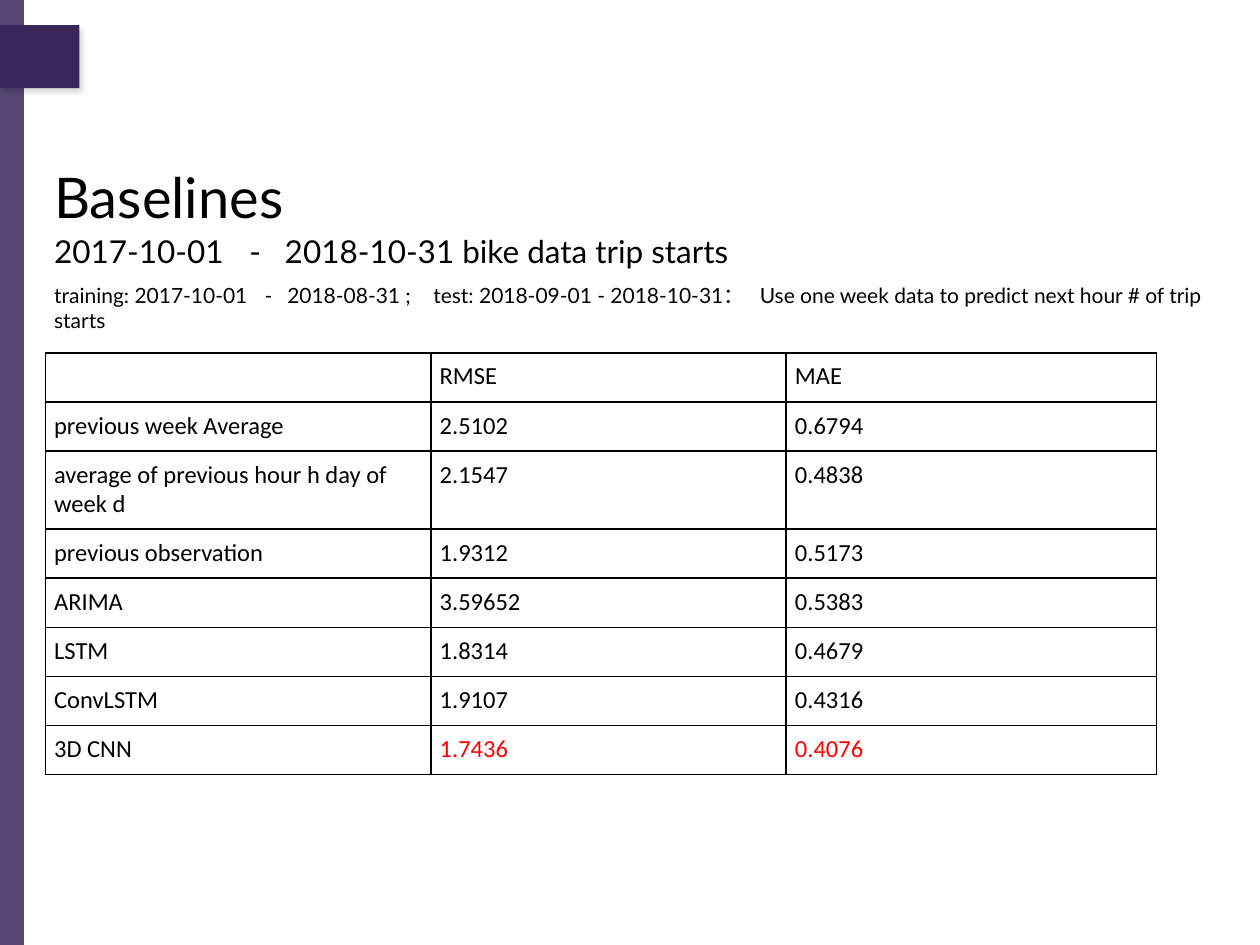
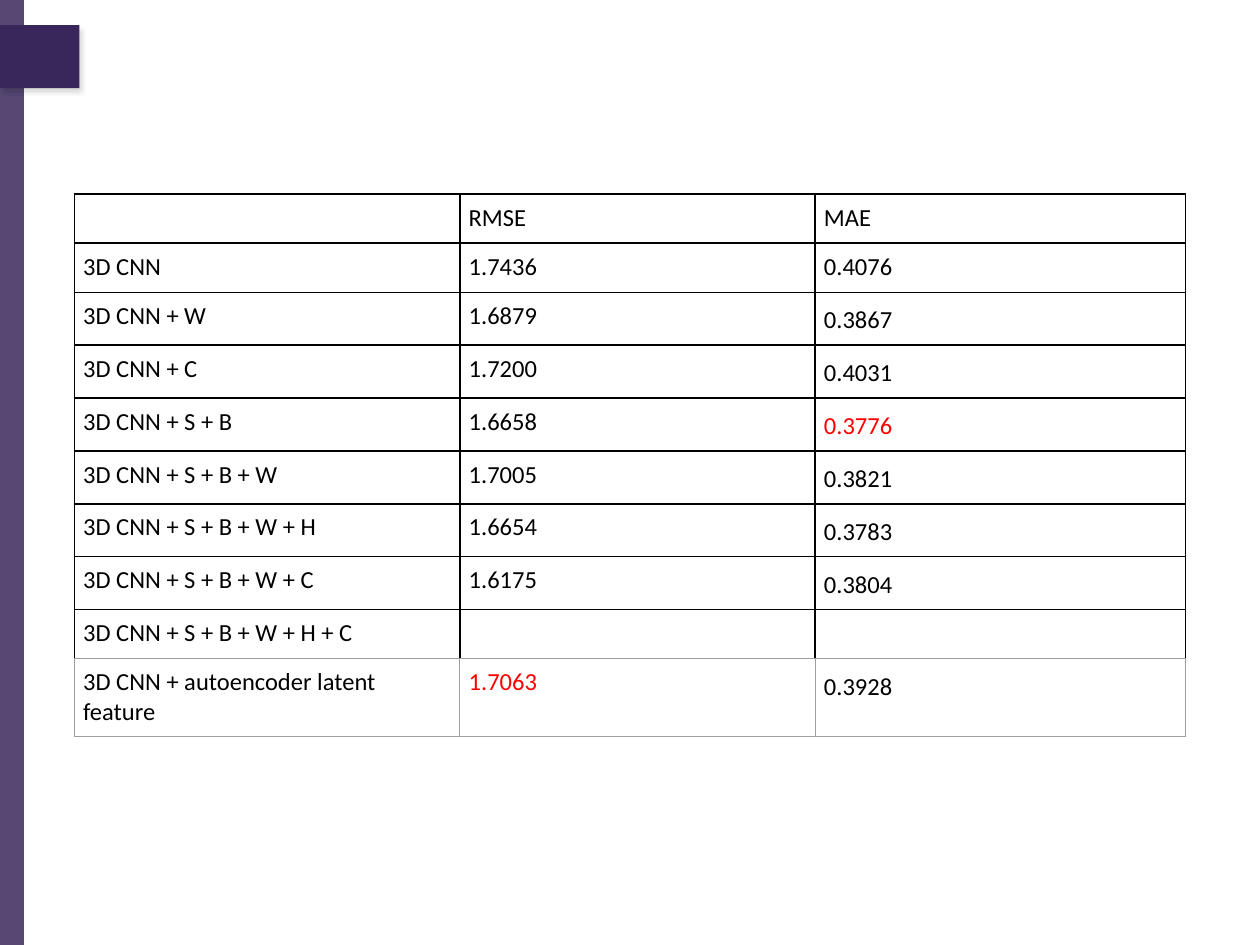
from dataclasses import dataclass

from lxml.etree import SubElement
from pptx import Presentation
from pptx.dml.color import RGBColor
from pptx.enum.shapes import MSO_SHAPE
from pptx.enum.text import MSO_ANCHOR
from pptx.oxml.ns import qn
from pptx.slide import Slide
from pptx.util import Inches, Pt

PURPLE = RGBColor(0x39, 0x27, 0x5B)
BLACK = RGBColor(0, 0, 0)
RED = RGBColor(0xFF, 0, 0)
GREY = RGBColor(0x9E, 0x9E, 0x9E)
HEADING_FONT = "Lato"
TABLE_FONT = "Calibri"
COLUMN_WIDTHS = (3.06, 2.82, 2.94)
CELL_MARGIN = Inches(0.07)
SINGLE, SPACED, DOUBLE = 0.39, 0.42, 0.62


@dataclass(frozen=True)
class Band:
    top: float
    width: float
    height: float
    opacity: int = 100
    shadowed: bool = False


@dataclass(frozen=True)
class Line:
    text: str
    size: int
    tabs: tuple[float, ...] = ()
    space_before: float = 0


@dataclass(frozen=True)
class Result:
    model: str
    rmse: str
    mae: str
    height: float = SINGLE
    best: tuple[str, ...] = ()
    mae_spacing: float = 1.0
    grey: bool = False


BANDS = (
    Band(0, 0.19, 7.5, opacity=85),
    Band(0.2, 0.63, 0.5, shadowed=True),
)

HEADER = Result("", "RMSE", "MAE")

BASELINES = (
    HEADER,
    Result("previous week Average", "2.5102", "0.6794"),
    Result("average of previous hour h day of week d", "2.1547", "0.4838", DOUBLE),
    Result("previous observation", "1.9312", "0.5173"),
    Result("ARIMA", "3.59652", "0.5383"),
    Result("LSTM", "1.8314", "0.4679"),
    Result("ConvLSTM", "1.9107", "0.4316"),
    Result("3D CNN", "1.7436", "0.4076", best=("1.7436", "0.4076")),
)

FEATURE_VARIANTS = (
    HEADER,
    Result("3D CNN", "1.7436", "0.4076"),
    Result("3D CNN + W", "1.6879", "0.3867", SPACED, mae_spacing=1.15),
    Result("3D CNN + C", "1.7200", "0.4031", SPACED, mae_spacing=1.15),
    Result("3D CNN + S + B", "1.6658", "0.3776", SPACED, ("0.3776",), 1.15),
    Result("3D CNN + S + B + W", "1.7005", "0.3821", SPACED, mae_spacing=1.15),
    Result("3D CNN + S + B + W + H", "1.6654", "0.3783", SPACED, mae_spacing=1.15),
    Result("3D CNN + S + B + W + C", "1.6175", "0.3804", SPACED, mae_spacing=1.15),
    Result("3D CNN + S + B + W + H + C", "", ""),
    Result("3D CNN + autoencoder latent feature", "1.7063", "0.3928",
           DOUBLE, ("1.7063",), 1.15, grey=True),
)

TITLE = (Line("Baselines", 32),)
PERIODS = (
    Line("2017-10-01\t-\t2018-10-31 bike data trip starts", 18, (1.55, 1.83)),
    Line("training: 2017-10-01\t-\t2018-08-31 ;\ttest: 2018-09-01 - 2018-10-31：\t"
         "Use one week data to predict next hour # of trip starts",
         12, (1.67, 1.85, 3.01, 5.6), 7.5),
)


def add_band(slide: Slide, band: Band) -> None:
    bar = slide.shapes.add_shape(MSO_SHAPE.RECTANGLE, 0, Inches(band.top),
                                 Inches(band.width), Inches(band.height))
    bar.shadow.inherit = False
    bar.fill.solid()
    bar.fill.fore_color.rgb = PURPLE
    bar.line.fill.background()
    properties = bar._element.spPr
    if band.opacity < 100:
        colour = properties.find(qn("a:solidFill"))[0]
        SubElement(colour, qn("a:alpha"), val=str(band.opacity * 1000))
    if band.shadowed:
        effects = properties.find(qn("a:effectLst"))
        shadow = SubElement(effects, qn("a:outerShdw"), blurRad=str(Pt(3)),
                            dist=str(Pt(3)), dir=str(60 * 60000), rotWithShape="0")
        colour = SubElement(shadow, qn("a:srgbClr"), val=str(BLACK))
        SubElement(colour, qn("a:alpha"), val="15000")


def add_text(slide: Slide, top: float, width: float, height: float,
             lines: tuple[Line, ...], anchor: MSO_ANCHOR) -> None:
    frame = slide.shapes.add_textbox(Inches(0.36), Inches(top),
                                     Inches(width), Inches(height)).text_frame
    frame.word_wrap = True
    frame.vertical_anchor = anchor
    frame.margin_left = frame.margin_right = Inches(0.07)
    frame.margin_top = frame.margin_bottom = Inches(0.04)
    for index, line in enumerate(lines):
        paragraph = frame.add_paragraph() if index else frame.paragraphs[0]
        paragraph.text = line.text
        if line.space_before:
            paragraph.space_before = Pt(line.space_before)
        if line.tabs:
            stops = SubElement(paragraph._p.get_or_add_pPr(), qn("a:tabLst"))
            for position in line.tabs:
                SubElement(stops, qn("a:tab"), pos=str(Inches(position)), algn="l")
        paragraph.font.size = Pt(line.size)
        paragraph.font.name = HEADING_FONT
        paragraph.font.color.rgb = BLACK


def set_borders(cell, grey: bool, grey_bottom: bool) -> None:
    properties = cell._tc.get_or_add_tcPr()
    for side in "LRTB":
        is_grey = grey or (grey_bottom and side == "B")
        width = Pt(0.75) if is_grey else Pt(1)
        border = SubElement(properties, qn(f"a:ln{side}"), w=str(width))
        fill = SubElement(border, qn("a:solidFill"))
        SubElement(fill, qn("a:srgbClr"), val=str(GREY if is_grey else BLACK))


def add_results(slide: Slide, left: float, top: float,
                results: tuple[Result, ...]) -> None:
    total_height = sum(result.height for result in results)
    table = slide.shapes.add_table(
        len(results), len(COLUMN_WIDTHS), Inches(left), Inches(top),
        Inches(sum(COLUMN_WIDTHS)), Inches(total_height)).table
    table.first_row = table.horz_banding = False
    for column, width in zip(table.columns, COLUMN_WIDTHS):
        column.width = Inches(width)
    for index, result in enumerate(results):
        table.rows[index].height = Inches(result.height)
        grey_below = any(following.grey for following in results[index + 1:index + 2])
        values = (result.model, result.rmse, result.mae)
        for cell, value in zip(table.rows[index].cells, values):
            set_borders(cell, result.grey, grey_below)
            cell.fill.background()
            cell.margin_left = cell.margin_right = CELL_MARGIN
            cell.margin_top = cell.margin_bottom = CELL_MARGIN
            paragraph = cell.text_frame.paragraphs[0]
            if value:
                paragraph.text = value
            else:
                SubElement(paragraph._p, qn("a:endParaRPr"), sz="1400")
            if value == result.mae and result.mae_spacing != 1:
                paragraph.line_spacing = result.mae_spacing
            paragraph.font.size = Pt(14)
            paragraph.font.name = TABLE_FONT
            paragraph.font.color.rgb = RED if value in result.best else BLACK


def add_banded_slide(deck) -> Slide:
    slide = deck.slides.add_slide(deck.slide_layouts[6])
    for band in BANDS:
        add_band(slide, band)
    return slide


def main() -> None:
    deck = Presentation()
    deck.slide_width = Inches(10)
    deck.slide_height = Inches(7.5)

    baselines = add_banded_slide(deck)
    add_text(baselines, 1.01, 8.62, 1.09, TITLE, MSO_ANCHOR.MIDDLE)
    add_text(baselines, 1.8, 9.52, 4.33, PERIODS, MSO_ANCHOR.TOP)
    add_results(baselines, 0.36, 2.8, BASELINES)

    variants = add_banded_slide(deck)
    add_results(variants, 0.59, 1.54, FEATURE_VARIANTS)

    deck.save("out.pptx")


if __name__ == "__main__":
    main()
